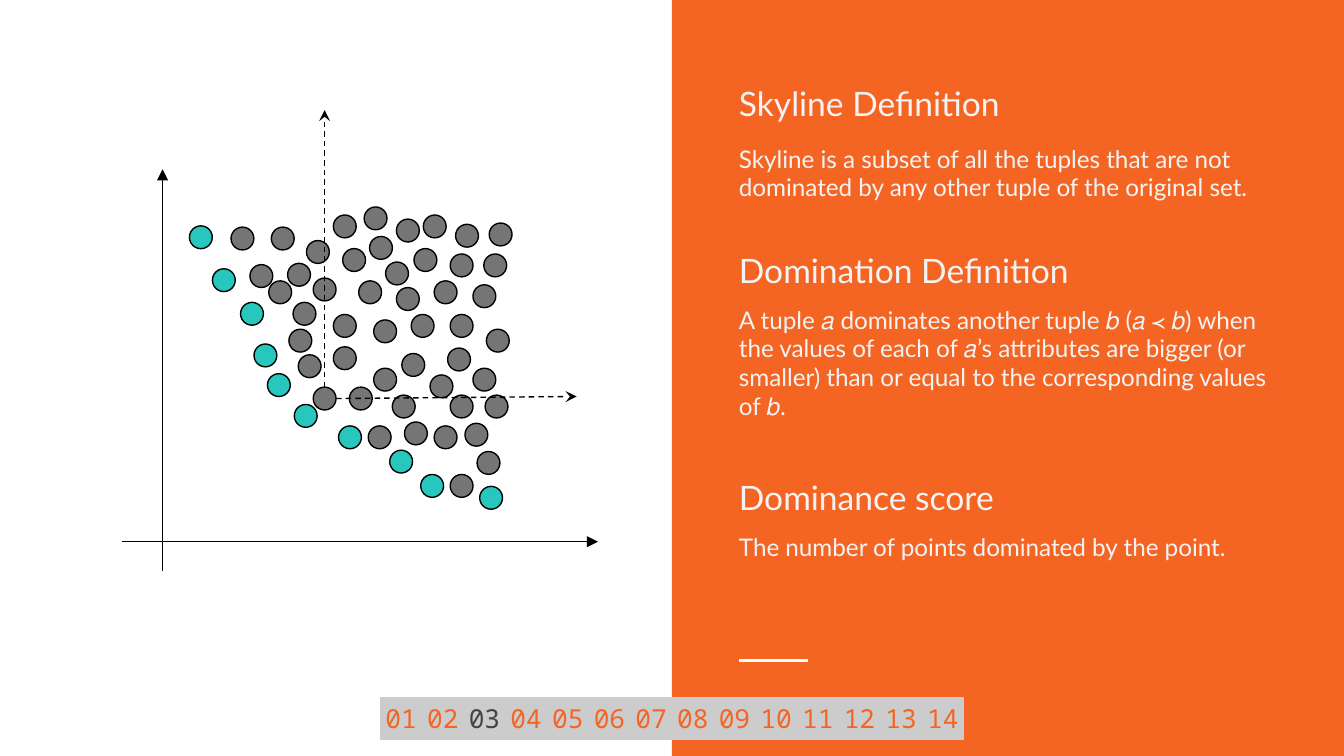
from lxml.etree import SubElement
from pptx import Presentation
from pptx.dml.color import RGBColor
from pptx.enum.dml import MSO_LINE
from pptx.enum.shapes import MSO_CONNECTOR, MSO_SHAPE
from pptx.enum.text import MSO_ANCHOR, PP_ALIGN
from pptx.oxml.ns import qn
from pptx.util import Pt

COLORS = {
    "panel": "F46524", "white": "FFFFFF", "body": "F3F3F3", "bar": "CCCCCC",
    "current": "434343", "skyline": "27C7BD", "dominated": "757575", "black": "000000",
}
DOT = 12.24
ORIGIN = (167.8, 207.4)
CURRENT_PAGE = 3

SKYLINE_DOTS = [
    (101.5, 121), (113.8, 144), (128.9, 162), (136.1, 184.3), (143.3, 200.2),
    (157.7, 216.7), (181.4, 228.2), (208.8, 241.2), (225.4, 254.2), (257, 260.6),
]
DOMINATED_DOTS = [
    (197.3, 228.2), (241.2, 254.2), (255.6, 241.9), (232.6, 228.2), (259.9, 211.7),
    (230.4, 200.9), (241.2, 211.7), (210.2, 211.7), (216.7, 226.1), (187.2, 207.4),
    ORIGIN, (159.8, 190.1), (178.6, 185.8), (200.2, 197.3), (215.3, 189.4),
    (239.8, 186.5), (253.4, 197.3), (249.1, 226.8), (178.6, 168.5), (157, 162),
    (154.8, 176.4), (200.2, 171.4), (241.2, 168.5), (220.3, 168.5), (260.6, 176.4),
    (253.4, 152.6), (232.6, 150.5), (212.4, 154.1), (192.2, 150.5), (123.8, 121.7),
    (133.9, 141.8), (144, 150.5), (167.8, 149), (154.1, 141.1), (183.6, 133.2),
    (145.4, 121.7), (164.2, 128.9), (178.6, 115.2), (198, 126.7), (206.6, 140.4),
    (221.8, 133.2), (241.2, 136.1), (259.2, 136.1), (262.1, 119.5), (244.1, 120.2),
    (226.8, 115.2), (212.4, 117.4), (195.1, 110.9),
]
HEADING, DETAIL = 18, 13
DEFINITIONS = [
    ("Skyline Definition", HEADING, {"line_spacing": 1.05}),
    ("Skyline is a subset of all the tuples that are not dominated by any other "
     "tuple of the original set.", DETAIL, {"space_before": Pt(12)}),
    ("Domination Definition", HEADING, {"space_before": Pt(26.6)}),
    ("A tuple 𝑎 dominates another tuple 𝑏 (𝑎 ≺ 𝑏) when the values of each of 𝑎’s "
     "attributes are bigger (or smaller) than or equal to the corresponding values "
     "of 𝑏.", DETAIL, {"space_before": Pt(8)}),
    ("Dominance score", HEADING, {"space_before": Pt(31.3)}),
    ("The number of points dominated by the point.", DETAIL,
     {"space_before": Pt(8), "space_after": Pt(8)}),
]


def rgb(name):
    """Return the named colour."""
    return RGBColor.from_string(COLORS[name])


def set_attrs(obj, values):
    """Set each attribute in values on the object."""
    for name, value in values.items():
        setattr(obj, name, value)


def add_run(p, text, size, font, color):
    """Add one formatted run to a paragraph."""
    r = p.add_run()
    r.text = text
    set_attrs(r.font, {"size": Pt(size), "name": font})
    r.font.color.rgb = rgb(color)


def add_box(shapes, kind, box, fill, line=None):
    """Add a filled preset shape, outlined if a line colour is given."""
    sp = shapes.add_shape(kind, *map(Pt, box))
    sp.shadow.inherit = False
    sp.fill.solid()
    sp.fill.fore_color.rgb = rgb(fill)
    if line:
        sp.line.color.rgb = rgb(line)
        sp.line.width = Pt(0.75)
    else:
        sp.line.fill.background()
    return sp


def add_line(shapes, ends, color="black", width=0.75, head=None, dash=None):
    """Add a straight line with an optional arrowhead and dash."""
    sp = shapes.add_connector(MSO_CONNECTOR.STRAIGHT, *map(Pt, ends))
    sp.line.color.rgb = rgb(color)
    set_attrs(sp.line, {"width": Pt(width), "dash_style": dash})
    if head:
        SubElement(sp.line._get_or_add_ln(), qn("a:tailEnd"), type=head)
    SubElement(sp._element.spPr, qn("a:effectLst"))


def add_definitions(shapes):
    """Add the headed definitions on the orange panel."""
    tf = shapes.add_textbox(*map(Pt, (388.8, 36, 302.4, 295.2))).text_frame
    margins = ("margin_left", "margin_top", "margin_right", "margin_bottom")
    set_attrs(tf, {"word_wrap": True, **dict.fromkeys(margins, Pt(7.2))})
    for i, (text, size, spacing) in enumerate(DEFINITIONS):
        p = tf.add_paragraph() if i else tf.paragraphs[0]
        set_attrs(p, {"line_spacing": 0.98, **spacing})
        add_run(p, text, size, "Lato", "body")


def add_page_bar(shapes):
    """Add the row of page numbers with the current one dark."""
    group = shapes.add_group_shape().shapes
    side = 22.32
    for n in range(1, 15):
        box = (203.76 + (n - 1) * side, 373.7, side, side)
        tf = add_box(group, MSO_SHAPE.RECTANGLE, box, "bar", "bar").text_frame
        set_attrs(tf, {"margin_left": 0, "margin_top": 0, "margin_right": 0,
                       "margin_bottom": 0, "vertical_anchor": MSO_ANCHOR.MIDDLE})
        p = tf.paragraphs[0]
        p.alignment = PP_ALIGN.CENTER
        color = "current" if n == CURRENT_PAGE else "panel"
        add_run(p, f"{n:02d}", 14, "Noto Sans Mono", color)


def add_scatter(shapes):
    """Add the dots, the axes and the dominance region of one dot."""
    group = shapes.add_group_shape().shapes
    add_box(group, MSO_SHAPE.RECTANGLE, (71.3, 103, 232.6, 198.7), "white", "white")
    for fill, dots in (("skyline", SKYLINE_DOTS), ("dominated", DOMINATED_DOTS)):
        for x, y in dots:
            add_box(group, MSO_SHAPE.OVAL, (x, y, DOT, DOT), fill, "black")
    add_line(shapes, (87.1, 306, 87.1, 90.7), head="triangle")
    add_line(shapes, (65.5, 290.2, 320.4, 290.2), head="triangle")
    x, y = ORIGIN
    mid_x, mid_y = x + DOT / 2, y + DOT / 2
    for ends in ((mid_x, y, mid_x, 59), (x + DOT, mid_y, 308.9, 212.4)):
        add_line(shapes, ends, head="stealth", dash=MSO_LINE.DASH)


def main():
    """Build and save the slide."""
    prs = Presentation()
    set_attrs(prs, {"slide_width": Pt(720), "slide_height": Pt(405)})
    s = prs.slides.add_slide(prs.slide_layouts[6])
    add_box(s.shapes, MSO_SHAPE.RECTANGLE, (360, 0, 360, 405), "panel")
    add_line(s.shapes, (396, 354, 432.7, 354), "white", 1.5)
    add_definitions(s.shapes)
    add_page_bar(s.shapes)
    add_scatter(s.shapes)
    prs.save("out.pptx")


if __name__ == "__main__":
    main()
